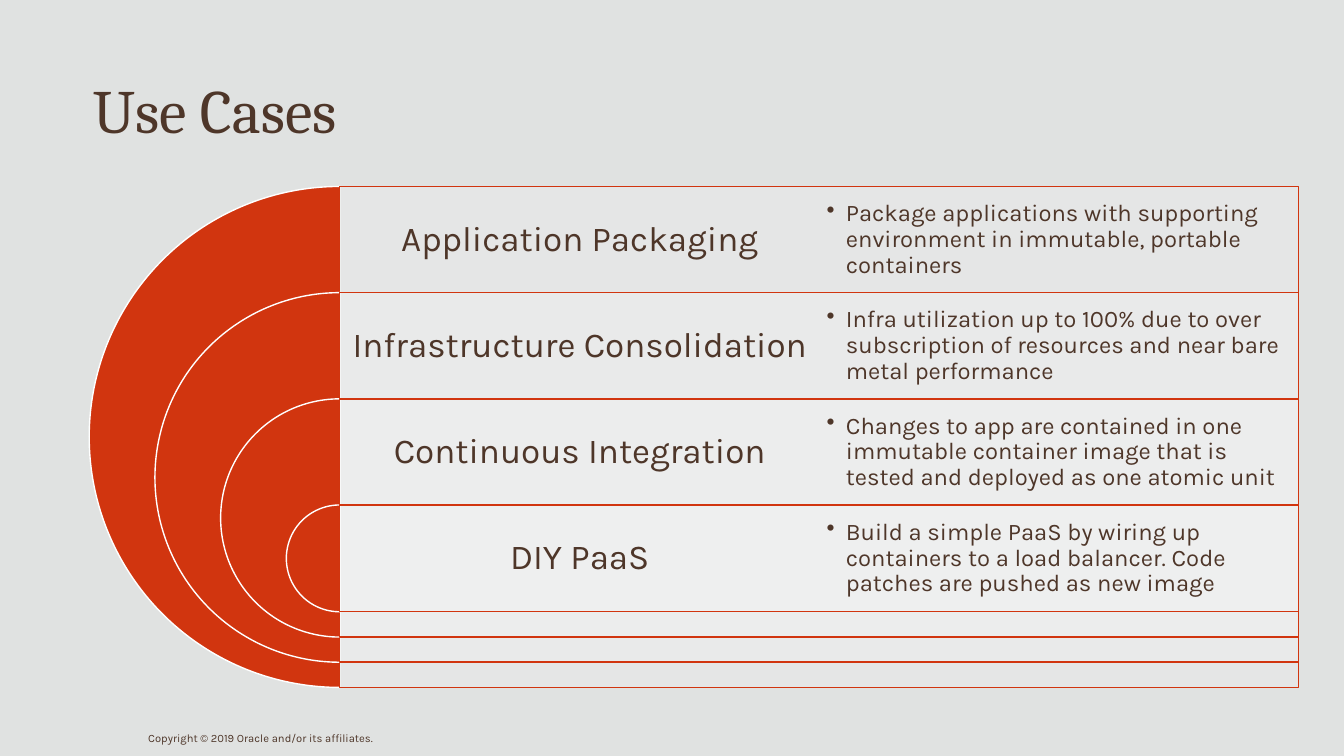
from lxml import etree
from pptx import Presentation
from pptx.dml.color import RGBColor
from pptx.enum.shapes import MSO_SHAPE as SHAPE
from pptx.enum.text import MSO_ANCHOR as ANCHOR, PP_ALIGN as ALIGN
from pptx.oxml.ns import qn
from pptx.util import Inches, Pt

BROWN, RED, WHITE, GREY = "4E3629", "D1350F", "FFFFFF", "E0E2E1"

# Heading, description, panel opacity in percent
USE_CASES = [
    ("Application Packaging",
     "Package applications with supporting environment in immutable, "
     "portable containers", 17),
    ("Infrastructure Consolidation",
     "Infra utilization up to 100% due to over subscription of resources "
     "and near bare metal performance", 16),
    ("Continuous Integration",
     "Changes to app are contained in one immutable container image that is "
     "tested and deployed as one atomic unit", 16),
    ("DIY PaaS",
     "Build a simple PaaS by wiring up containers to a load balancer. "
     "Code patches are pushed as new image", 13),
]


def rgb(value):
    return RGBColor.from_string(value)


class Deck:
    body_font, title_font = "Karla", "Cambria"

    def __init__(self):
        self.prs = Presentation()
        self.prs.slide_width, self.prs.slide_height = Inches(13.33), Inches(7.5)
        self.s = self.prs.slides.add_slide(self.prs.slide_layouts[5])
        self.shapes = self.s.shapes
        fill = self.s.background.fill
        fill.solid()
        fill.fore_color.rgb = rgb(GREY)

    def set_text(self, sp, text, size, font, margins, align=ALIGN.LEFT,
                 spacing=0.9, bullet=False):
        tf = sp.text_frame
        tf.word_wrap = True
        tf.vertical_anchor = ANCHOR.MIDDLE
        tf.margin_left = tf.margin_right = Inches(margins[0])
        tf.margin_top = tf.margin_bottom = Inches(margins[1])
        p = tf.paragraphs[0]
        p.alignment, p.line_spacing = align, spacing
        if bullet:
            pPr = p._p.get_or_add_pPr()
            pPr.set("marL", str(Inches(0.19)))
            pPr.set("indent", str(Inches(-0.19)))
            etree.SubElement(pPr, qn("a:buChar")).set("char", "•")
        r = p.add_run()
        r.text = text
        r.font.size, r.font.name = Pt(size), font
        r.font.color.rgb = rgb(BROWN)

    def title(self, text, x, y, w, h):
        sp = self.s.shapes.title
        sp.left, sp.top, sp.width, sp.height = map(Inches, (x, y, w, h))
        self.set_text(sp, text, 44, self.title_font, (0, 0.05))

    def text(self, text, x, y, w, h, size, margins, **style):
        sp = self.shapes.add_textbox(*map(Inches, (x, y, w, h)))
        self.set_text(sp, text, size, self.body_font, margins, **style)

    def shape(self, kind, x, y, w, h, fill, line, opacity=100):
        sp = self.shapes.add_shape(kind, *map(Inches, (x, y, w, h)))
        sp.shadow.inherit = False
        sp.fill.solid()
        sp.fill.fore_color.rgb = rgb(fill)
        sp.line.color.rgb = rgb(line)
        sp.line.width = Pt(1)
        if opacity < 100:
            color = sp._element.spPr.find(qn("a:solidFill"))[0]
            etree.SubElement(color, qn("a:alpha")).set("val", str(opacity * 1000))
        return sp

    def half_disc(self, center_x, y, diameter):
        sp = self.shape(SHAPE.PIE, center_x - diameter / 2, y,
                        diameter, diameter, RED, WHITE)
        # Left half: from 90 to 270 degrees
        sp.adjustments[0], sp.adjustments[1] = 54, 162

    def start_group(self):
        self.shapes = self.s.shapes.add_group_shape().shapes


def main():
    deck = Deck()

    # Title and footer
    deck.title("Use Cases", 0.92, 0.4, 11.5, 1.45)
    deck.text("Copyright © 2019 Oracle and/or its affiliates.",
              1.47, 7.12, 4.15, 0.4, 8, (0, 0.05), spacing=1.0)

    # Nested half discs, each with a panel of the same height
    left, top, width, column = 3.37, 1.85, 9.51, 4.76
    outer, row = 4.97, 1.06
    pitch = (5.01 - top) / (len(USE_CASES) - 1)
    shrink = (outer - row) / (len(USE_CASES) - 1)
    deck.start_group()
    for i, (heading, description, opacity) in enumerate(USE_CASES):
        y, size = top + i * pitch, outer - i * shrink
        deck.half_disc(left, y, size)
        deck.shape(SHAPE.RECTANGLE, left, y, width, size, WHITE, RED, opacity)
        deck.text(heading, left, y, column, row, 25, (0.1, 0.1),
                  align=ALIGN.CENTER)
        deck.text(description, left + column, y, column, row, 17, (0.07, 0.07),
                  bullet=True)

    deck.prs.save("out.pptx")


if __name__ == "__main__":
    main()
